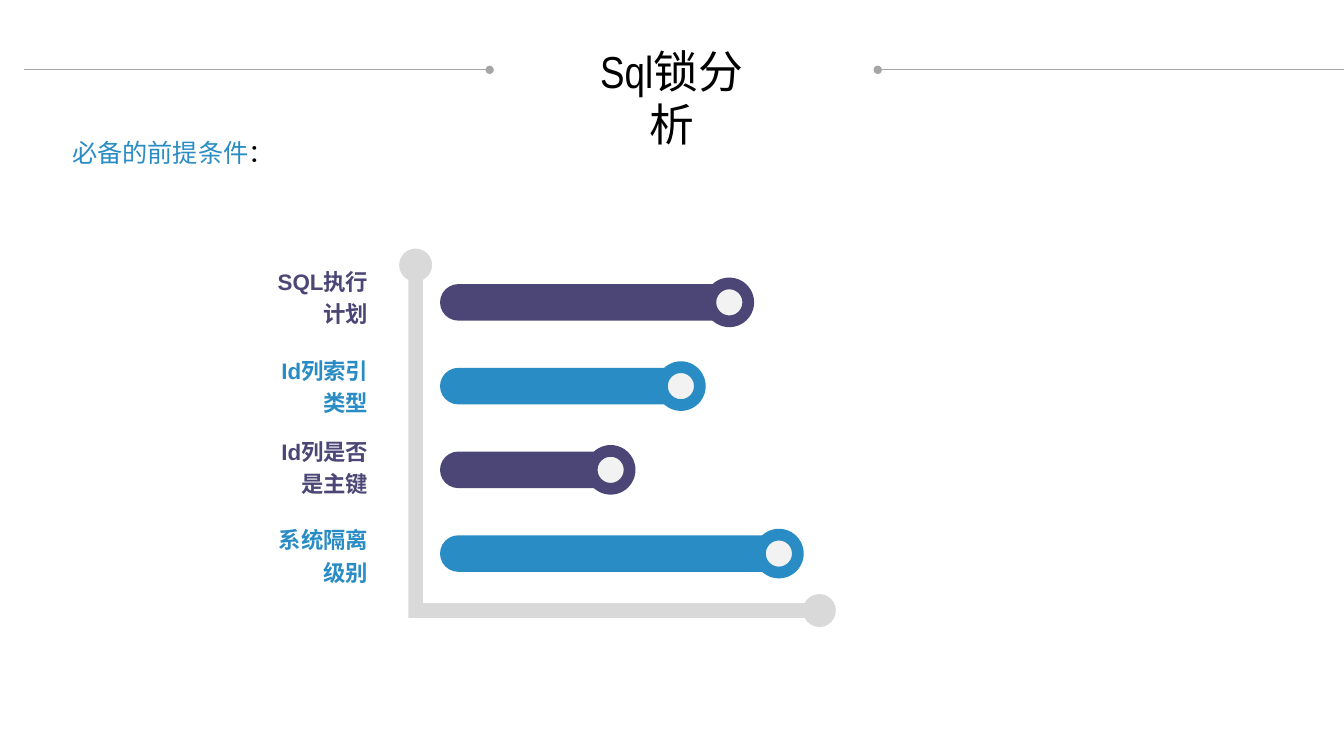
from dataclasses import dataclass

from lxml import etree
from pptx import Presentation
from pptx.dml.color import RGBColor
from pptx.enum import shapes, text
from pptx.oxml import ns
from pptx.util import Cm, Pt


@dataclass(frozen=True)
class Theme:
    """Colours, fonts and type sizes of the slide."""
    black: str = "000000"
    rule: str = "A6A6A6"
    axis: str = "D9D9D9"
    dot: str = "F2F2F2"
    purple: str = "4C4676"
    blue: str = "298CC5"
    title_font: str = "Arial Narrow"
    body_font: str = "Arial"
    title_size: int = 32
    heading_size: int = 18
    label_size: int = 16


def add_run(paragraph, content, *, size, color, font, bold=False):
    """Append a formatted run to a paragraph."""
    run = paragraph.add_run()
    run.text = content
    run.font.size = Pt(size)
    run.font.name = font
    run.font.bold = bold
    run.font.color.rgb = RGBColor.from_string(color)


class SlideBuilder:
    """Draws styled elements on one slide, with lengths in centimetres."""

    def __init__(self, slide, theme):
        """Keep the slide and its theme."""
        self.slide = slide
        self.theme = theme

    def paint(self, shape, color):
        """Give a shape a flat fill without outline or shadow."""
        shape.shadow.inherit = False
        shape.fill.solid()
        shape.fill.fore_color.rgb = RGBColor.from_string(color)
        shape.line.fill.background()

    def preset(self, kind, left, top, width, height, color):
        """Add a flat preset shape."""
        shape = self.slide.shapes.add_shape(
            kind, Cm(left), Cm(top), Cm(width), Cm(height))
        self.paint(shape, color)
        return shape

    def round(self, kind, x, y, diameter, color):
        """Add a round preset shape centred on a point."""
        return self.preset(kind, x - diameter / 2, y - diameter / 2,
                           diameter, diameter, color)

    def outline(self, points, color):
        """Add a closed polygon."""
        start, *rest = [(Cm(x), Cm(y)) for x, y in points]
        builder = self.slide.shapes.build_freeform(*start)
        builder.add_line_segments(rest, close=True)
        self.paint(builder.convert_to_shape(), color)

    def rule(self, x1, x2, y, dotted_end):
        """Add a thin horizontal line with an oval at one end."""
        line = self.slide.shapes.add_connector(
            shapes.MSO_CONNECTOR.STRAIGHT, Cm(x1), Cm(y), Cm(x2), Cm(y))
        line.line.width = Pt(0.5)
        line.line.color.rgb = RGBColor.from_string(self.theme.rule)
        etree.SubElement(line.line._get_or_add_ln(),
                         ns.qn(f"a:{dotted_end}"), type="oval")
        etree.SubElement(line._element.spPr, ns.qn("a:effectLst"))

    def textbox(self, left, top, width, height, runs, *, align, size,
                font, bold=False, wrap=True, spacing=1.0):
        """Add a one-paragraph text box from (text, colour) runs."""
        frame = self.slide.shapes.add_textbox(
            Cm(left), Cm(top), Cm(width), Cm(height)).text_frame
        frame.word_wrap = wrap
        paragraph = frame.paragraphs[0]
        paragraph.alignment = align
        paragraph.line_spacing = spacing
        for content, color in runs:
            add_run(paragraph, content, size=size, color=color,
                    font=font, bold=bold)

    def axis(self, left, top, right, bottom, thickness):
        """Add the L-shaped axis with a ball at each end."""
        color = self.theme.axis
        inner_x, inner_y = left + thickness, bottom - thickness
        self.outline([(left, top), (inner_x, top), (inner_x, inner_y),
                      (right, inner_y), (right, bottom), (left, bottom)], color)
        for x, y in ((left + thickness / 2, top),
                     (right, bottom - thickness / 2)):
            self.round(shapes.MSO_SHAPE.OVAL, x, y, 0.83, color)

    def bar(self, left, knob_x, y, color):
        """Add a rounded bar that ends in a ring-shaped knob."""
        height, ring, hole = 0.92, 1.25, 0.66
        body = self.preset(shapes.MSO_SHAPE.ROUNDED_RECTANGLE, left,
                           y - height / 2, knob_x + 0.3 - left, height, color)
        body.adjustments[0] = 0.5
        self.round(shapes.MSO_SHAPE.OVAL, knob_x, y, 0.94, self.theme.dot)
        knob = self.round(shapes.MSO_SHAPE.DONUT, knob_x, y, ring, color)
        knob.adjustments[0] = (ring - hole) / 2 / ring


def main():
    """Build and save the slide."""
    theme = Theme()
    deck = Presentation()
    deck.slide_width, deck.slide_height = Cm(33.87), Cm(19.05)
    page = SlideBuilder(deck.slides.add_slide(deck.slide_layouts[6]), theme)

    page.rule(0.61, 12.34, 1.76, "tailEnd")
    page.rule(22.12, 33.87, 1.76, "headEnd")
    page.textbox(14.4, 0.97, 5.05, 1.62, [("Sql锁分析", theme.black)],
                 align=text.PP_ALIGN.CENTER, size=theme.title_size,
                 font=theme.title_font)
    page.axis(10.29, 6.68, 20.65, 15.57, 0.37)

    conditions = [
        ("SQL执行计划", 6.5, 18.38, theme.purple),
        ("Id列索引类型", 8.74, 17.16, theme.blue),
        ("Id列是否是主键", 10.78, 15.39, theme.purple),
        ("系统隔离级别", 13.01, 19.63, theme.blue),
    ]
    first_y, pitch = 7.62, 2.11
    for row, (condition, label_top, knob_x, color) in enumerate(conditions):
        page.bar(11.09, knob_x, first_y + row * pitch, color)
        page.textbox(6.68, label_top, 2.85, 1.83, [(condition, color)],
                     align=text.PP_ALIGN.RIGHT, size=theme.label_size,
                     font=theme.body_font, bold=True, spacing=1.2)

    page.textbox(1.57, 3.33, 5.64, 1.02,
                 [("必备的前提条件", theme.blue), ("：", theme.black)],
                 align=text.PP_ALIGN.LEFT, size=theme.heading_size,
                 font=theme.body_font, wrap=False)
    deck.save("out.pptx")


if __name__ == "__main__":
    main()
